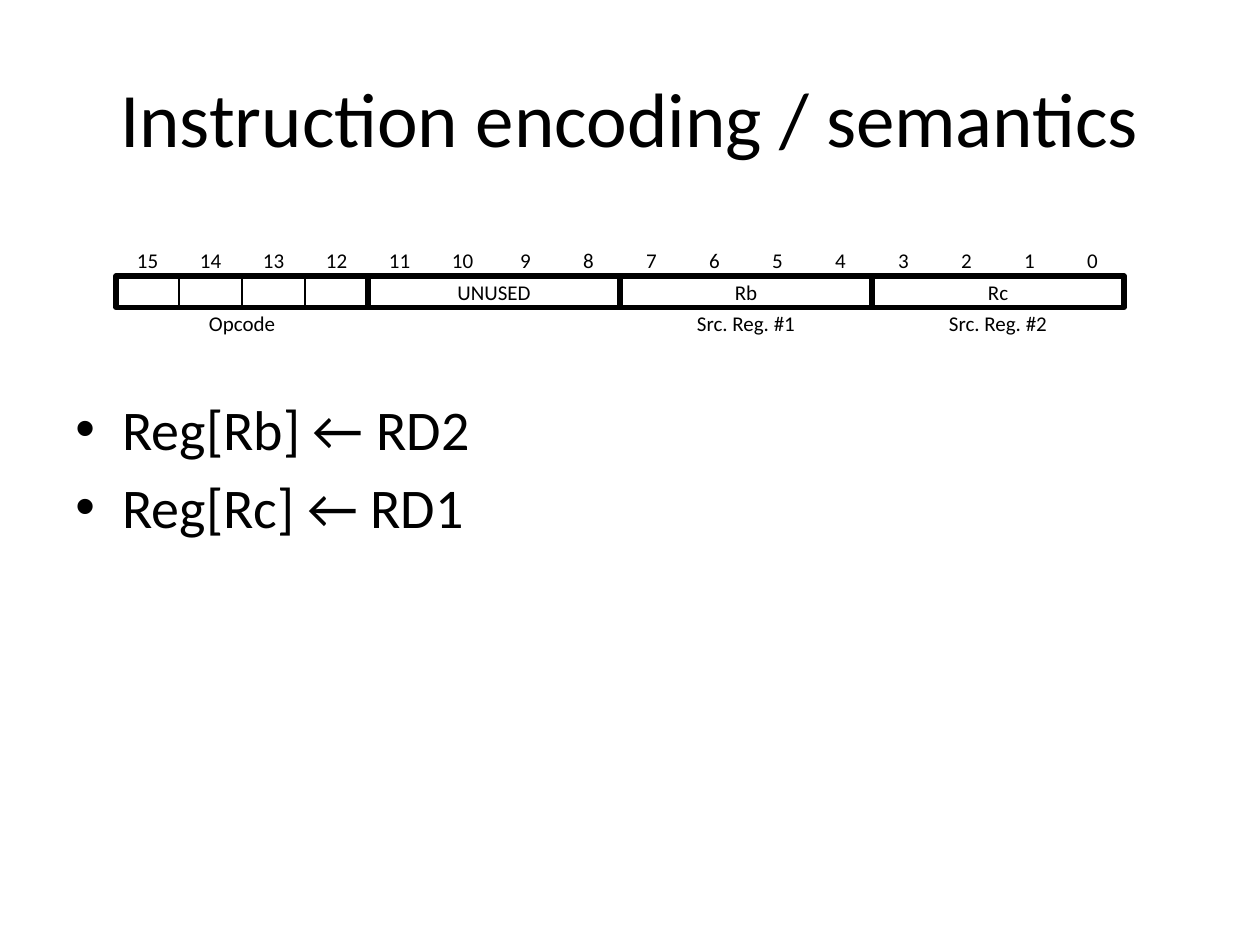
from lxml.etree import SubElement
from pptx import Presentation
from pptx.dml.color import RGBColor
from pptx.enum.shapes import MSO_SHAPE
from pptx.enum.text import MSO_ANCHOR, PP_ALIGN
from pptx.oxml.ns import qn
from pptx.util import Cm, Pt


def paint(target, color):
    target.rgb = RGBColor.from_string(color)


def write(para, text, size):
    run = para.add_run()
    run.text = text
    run.font.name = "Calibri"
    run.font.size = Pt(size)
    paint(run.font.color, "000000")


deck = Presentation()
deck.slide_width = Cm(25.4)
deck.slide_height = Cm(19.05)
slide = deck.slides.add_slide(deck.slide_layouts[6])

title = slide.shapes.add_textbox(Cm(1.27), Cm(0.76), Cm(22.86), Cm(3.18)).text_frame
title.word_wrap = True
title.vertical_anchor = MSO_ANCHOR.MIDDLE
title.paragraphs[0].alignment = PP_ALIGN.CENTER
write(title.paragraphs[0], "Instruction encoding / semantics", 44)

body = slide.shapes.add_textbox(Cm(1.27), Cm(7.82), Cm(22.86), Cm(9.2)).text_frame
body.word_wrap = True
for index, text in enumerate(["Reg[Rb] ← RD2", "Reg[Rc] ← RD1"]):
    para = body.add_paragraph() if index else body.paragraphs[0]
    props = para._p.get_or_add_pPr()
    props.set("marL", str(Cm(0.95)))
    props.set("indent", str(Cm(-0.95)))
    SubElement(props, qn("a:buFont")).set("typeface", "Arial")
    SubElement(props, qn("a:buChar")).set("char", "•")
    if index:
        para.space_before = Pt(6.4)
    write(para, text, 32)

left, top, bit, high = 2.34, 4.93, 1.27, 0.635
fields = ["", "UNUSED", "Rb", "Rc"]
notes = ["Opcode", "", "Src. Reg. #1", "Src. Reg. #2"]

labels = [(15 - num, 0, 1, str(num)) for num in range(15, -1, -1)]
labels += [(4 * slot, 2, 4, note) for slot, note in enumerate(notes) if note]
cells = [(4 * slot, 1, 4, name, 3) for slot, name in enumerate(fields)]
cells[1:1] = [(col, 1, 1, "", 0.75) for col in range(4)]

group = slide.shapes.add_group_shape()
for col, row, span, text, *line in labels + cells:
    place = Cm(left + col * bit), Cm(top + row * high), Cm(span * bit), Cm(high)
    if line:
        shape = group.shapes.add_shape(MSO_SHAPE.RECTANGLE, *place)
        shape.shadow.inherit = False
        shape.fill.background()
        paint(shape.line.color, "000000")
        shape.line.width = Pt(line[0])
    else:
        shape = group.shapes.add_textbox(*place)
    frame = shape.text_frame
    frame.word_wrap = True
    frame.vertical_anchor = MSO_ANCHOR.MIDDLE
    frame.margin_left = frame.margin_right = frame.margin_top = frame.margin_bottom = 0
    if text:
        frame.paragraphs[0].alignment = PP_ALIGN.CENTER
        write(frame.paragraphs[0], text, 12)

deck.save("out.pptx")
